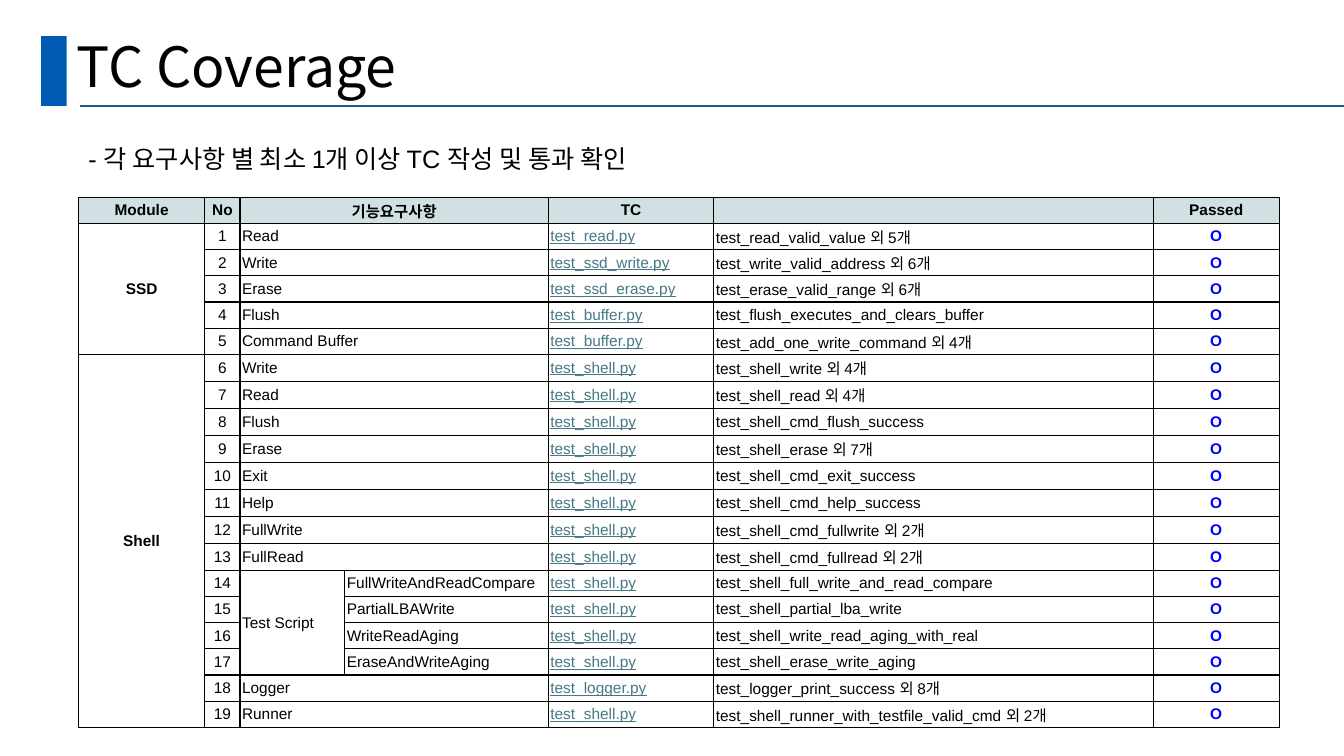
from lxml.etree import SubElement
from pptx import Presentation
from pptx.dml.color import RGBColor
from pptx.enum.shapes import MSO_CONNECTOR as Connector, MSO_SHAPE as Shape
from pptx.enum.text import MSO_ANCHOR as Anchor, PP_ALIGN as Align
from pptx.oxml.ns import qn
from pptx.util import Cm, Pt

BLACK = RGBColor(0x00, 0x00, 0x00)
ACCENT_BLUE = RGBColor(0x00, 0x5A, 0xB4)
RULE_TEAL = RGBColor(0x15, 0x60, 0x82)
LINK_TEAL = RGBColor(0x46, 0x78, 0x86)
PASS_BLUE = RGBColor(0x00, 0x00, 0xFF)
HEADER_FILL = RGBColor(0xD0, 0xE0, 0xE3)

HEADERS = ["Module", "No", "기능요구사항", "", "TC", "", "Passed"]
COLUMN_WIDTHS = [3.18, 0.89, 2.64, 5.13, 4.17, 11.07, 3.18]
ROW_HEIGHTS = [0.66] * 6 + [0.68] * 8 + [0.66] * 6

# Each requirement: module, name, script item, test file, test case
REQUIREMENTS = [
    ("SSD", "Read", "", "test_read.py", "test_read_valid_value 외 5개"),
    ("", "Write", "", "test_ssd_write.py", "test_write_valid_address 외 6개"),
    ("", "Erase", "", "test_ssd_erase.py", "test_erase_valid_range 외 6개"),
    ("", "Flush", "", "test_buffer.py", "test_flush_executes_and_clears_buffer"),
    ("", "Command Buffer", "", "test_buffer.py", "test_add_one_write_command 외 4개"),
    ("Shell", "Write", "", "test_shell.py", "test_shell_write 외 4개"),
    ("", "Read", "", "test_shell.py", "test_shell_read 외 4개"),
    ("", "Flush", "", "test_shell.py", "test_shell_cmd_flush_success"),
    ("", "Erase", "", "test_shell.py", "test_shell_erase 외 7개"),
    ("", "Exit", "", "test_shell.py", "test_shell_cmd_exit_success"),
    ("", "Help", "", "test_shell.py", "test_shell_cmd_help_success"),
    ("", "FullWrite", "", "test_shell.py", "test_shell_cmd_fullwrite 외 2개"),
    ("", "FullRead", "", "test_shell.py", "test_shell_cmd_fullread 외 2개"),
    ("", "Test Script", "FullWriteAndReadCompare", "test_shell.py",
     "test_shell_full_write_and_read_compare"),
    ("", "", "PartialLBAWrite", "test_shell.py", "test_shell_partial_lba_write"),
    ("", "", "WriteReadAging", "test_shell.py", "test_shell_write_read_aging_with_real"),
    ("", "", "EraseAndWriteAging", "test_shell.py", "test_shell_erase_write_aging"),
    ("", "Logger", "", "test_logger.py", "test_logger_print_success 외 8개"),
    ("", "Runner", "", "test_shell.py", "test_shell_runner_with_testfile_valid_cmd 외 2개"),
]

# Formats of the body columns, from Module to Passed
CENTERED = {"align": Align.CENTER}
COLUMN_FORMATS = [
    {"bold": True, **CENTERED}, CENTERED, {}, {},
    {"color": LINK_TEAL, "underline": True}, {},
    {"bold": True, "color": PASS_BLUE, **CENTERED},
]


def write_text(frame, text, size=11, font="Arial", color=BLACK, bold=False,
               underline=False, align=Align.LEFT, spacing=None):
    paragraph = frame.paragraphs[0]
    paragraph.alignment = align
    if spacing:
        paragraph.line_spacing = spacing
    if text:
        run = paragraph.add_run()
        run.text = text
        run.font.size = Pt(size)
        run.font.name = font
        run.font.color.rgb = color
        run.font.bold = bold
        run.font.underline = underline
    else:
        # Keeps an empty cell as low as its row
        SubElement(paragraph._p, qn("a:endParaRPr"), sz=str(size * 100))


def add_text_box(slide, left, top, width, height, text, wrap=True,
                 anchor=Anchor.TOP, **text_format):
    box = slide.shapes.add_textbox(Cm(left), Cm(top), Cm(width), Cm(height))
    box.text_frame.word_wrap = wrap
    box.text_frame.vertical_anchor = anchor
    write_text(box.text_frame, text, **text_format)


def add_title_bar(slide):
    bar = slide.shapes.add_shape(Shape.RECTANGLE, Cm(1.04), Cm(0.91), Cm(0.64), Cm(1.76))
    bar.shadow.inherit = False
    bar.fill.solid()
    bar.fill.fore_color.rgb = ACCENT_BLUE
    bar.line.fill.background()


def add_title_rule(slide):
    rule = slide.shapes.add_connector(
        Connector.STRAIGHT, Cm(2.01), Cm(2.67), Cm(33.87), Cm(2.67))
    rule.line.color.rgb = RULE_TEAL
    rule.line.width = Pt(1.5)
    SubElement(rule._element.spPr, qn("a:effectLst"))


def add_borders(cell):
    properties = cell._tc.get_or_add_tcPr()
    for side in ("a:lnL", "a:lnR", "a:lnT", "a:lnB"):
        line = SubElement(properties, qn(side), w=str(Pt(1)))
        fill = SubElement(line, qn("a:solidFill"))
        SubElement(fill, qn("a:srgbClr"), val=str(BLACK))


def fill_cell(cell, text, fill=None, **text_format):
    cell.margin_left = cell.margin_right = Cm(0.05)
    cell.margin_top = cell.margin_bottom = Cm(0.03)
    cell.vertical_anchor = Anchor.MIDDLE
    add_borders(cell)
    if fill is None:
        cell.fill.background()
    else:
        cell.fill.solid()
        cell.fill.fore_color.rgb = fill
    write_text(cell.text_frame, text, **text_format)


def merge_cells(table):
    # Modules and the test script group run down
    for column, first, last in [(0, 1, 5), (0, 6, 19), (2, 14, 17)]:
        table.cell(first, column).merge(table.cell(last, column))
    # Requirements without script items take both columns
    for row in range(len(ROW_HEIGHTS)):
        if not 14 <= row <= 17:
            table.cell(row, 2).merge(table.cell(row, 3))


def add_coverage_table(slide):
    frame = slide.shapes.add_table(
        len(ROW_HEIGHTS), len(COLUMN_WIDTHS), Cm(1.98), Cm(4.97),
        Cm(sum(COLUMN_WIDTHS)), Cm(sum(ROW_HEIGHTS)))
    table = frame.table
    table.first_row = table.horz_banding = False
    for column, width in zip(table.columns, COLUMN_WIDTHS):
        column.width = Cm(width)
    for row, height in zip(table.rows, ROW_HEIGHTS):
        row.height = Cm(height)

    for column, header in enumerate(HEADERS):
        fill_cell(table.cell(0, column), header, HEADER_FILL, bold=True, align=Align.CENTER)
    for number, (module, *details) in enumerate(REQUIREMENTS, 1):
        values = [module, str(number), *details, "O"]
        for column, (value, text_format) in enumerate(zip(values, COLUMN_FORMATS)):
            fill_cell(table.cell(number, column), value, **text_format)
    merge_cells(table)


def main():
    presentation = Presentation()
    presentation.slide_width = Cm(33.87)
    presentation.slide_height = Cm(19.05)
    slide = presentation.slides.add_slide(presentation.slide_layouts[6])

    # Title
    add_title_bar(slide)
    add_title_rule(slide)
    add_text_box(slide, 1.68, 0.86, 29.21, 1.8, "TC Coverage", anchor=Anchor.MIDDLE,
                 size=39.6, font="Noto Sans CJK KR", spacing=0.9)

    # Coverage by requirement
    add_coverage_table(slide)
    add_text_box(slide, 1.98, 3.1, 15.62, 1.27,
                 "- 각 요구사항 별 최소 1개 이상 TC 작성 및 통과 확인",
                 wrap=False, size=18, spacing=1.5)

    presentation.save("out.pptx")


if __name__ == "__main__":
    main()
